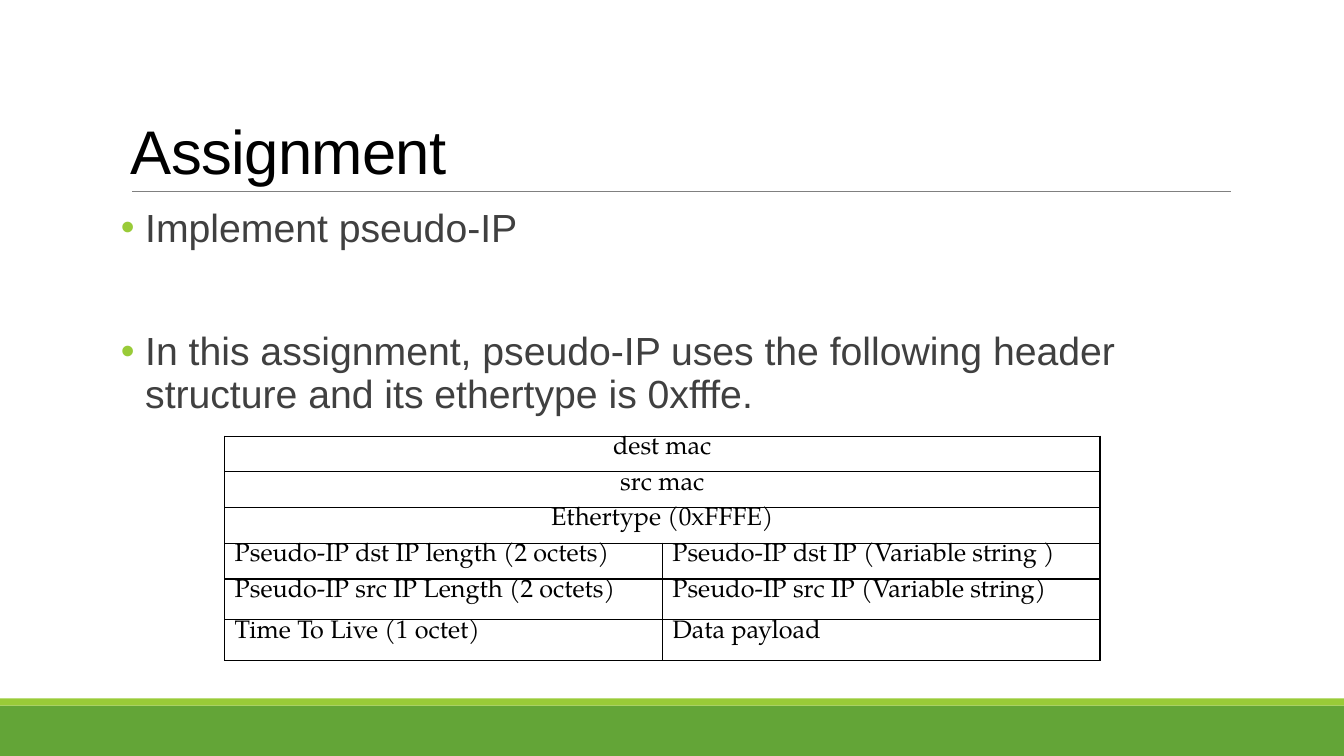
from dataclasses import dataclass

from lxml import etree
from pptx import Presentation
from pptx import util as u
from pptx.dml.color import RGBColor
from pptx.enum import shapes, text
from pptx.oxml import ns


@dataclass(frozen=True)
class Theme:
    green: str = "63A537"
    lime: str = "99CB38"
    rule: str = "808080"
    black: str = "000000"
    body: str = "404040"
    sans: str = "Arial"
    serif: str = "TeX Gyre Pagella"
    title_size: int = 44
    body_size: int = 28
    table_size: int = 18


THEME = Theme()

WIDTH, HEIGHT = 33.87, 19.05
MARGIN = 3.05
CONTENT_WIDTH = 27.94

BULLETS = [
    ("Implement pseudo-IP", 12),
    ("In this assignment, pseudo-IP uses the following header "
     "structure and its ethertype is 0xfffe.", 56),
]

# A row with one entry spans both columns
HEADER_ROWS = [
    (0.9, ["dest mac"]),
    (0.9, ["src mac"]),
    (0.9, ["Ethertype (0xFFFE)"]),
    (0.9, ["Pseudo-IP dst IP length (2 octets)", "Pseudo-IP dst IP (Variable string )"]),
    (1.03, ["Pseudo-IP src IP Length (2 octets)", "Pseudo-IP src IP (Variable string)"]),
    (1.03, ["Time To Live (1 octet)", "Data payload"]),
]


def rgb(color):
    return RGBColor.from_string(color)


def add_xml(parent, tag, **attrs):
    return etree.SubElement(parent, ns.qn(tag), **attrs)


def write(p, content, *, size, font, color, align=None, line=None,
          before=None, after=None, tracking=None):
    """Add one formatted run to a paragraph."""
    r = p.add_run()
    r.text = content
    r.font.size = u.Pt(size)
    r.font.name = font
    r.font.color.rgb = rgb(color)
    if tracking is not None:
        r.font._element.set("spc", str(tracking))
    p.alignment = align
    p.line_spacing = line
    if before is not None:
        p.space_before = u.Pt(before)
    if after is not None:
        p.space_after = u.Pt(after)


def add_band(s, top, height, color):
    sp = s.shapes.add_shape(shapes.MSO_SHAPE.RECTANGLE, 0, u.Cm(top), u.Cm(WIDTH), u.Cm(height))
    sp.shadow.inherit = False
    sp.fill.solid()
    sp.fill.fore_color.rgb = rgb(color)
    sp.line.fill.background()


def add_rule(s, left, right, y):
    line = s.shapes.add_connector(shapes.MSO_CONNECTOR.STRAIGHT,
                                  u.Cm(left), u.Cm(y), u.Cm(right), u.Cm(y))
    line.line.color.rgb = rgb(THEME.rule)
    line.line.width = u.Pt(0.5)
    add_xml(line._element.spPr, "a:effectLst")


def add_text_frame(s, top, height, anchor, side_inset):
    sp = s.shapes.add_textbox(u.Cm(MARGIN), u.Cm(top), u.Cm(CONTENT_WIDTH), u.Cm(height))
    tf = sp.text_frame
    tf.word_wrap = True
    tf.vertical_anchor = anchor
    tf.margin_left = tf.margin_right = u.Cm(side_inset)
    return tf


def add_bullet(p):
    pPr = p._p.get_or_add_pPr()
    indent = u.Cm(0.61)
    pPr.set("marL", str(indent))
    pPr.set("indent", str(-indent))
    add_xml(add_xml(pPr, "a:buClr"), "a:srgbClr", val=THEME.lime)
    add_xml(pPr, "a:buFont", typeface=THEME.sans)
    add_xml(pPr, "a:buChar", char="•")


def add_bullets(s, items):
    tf = add_text_frame(s, 5.13, 11.18, text.MSO_ANCHOR.TOP, 0)
    for i, (content, before) in enumerate(items):
        p = tf.add_paragraph() if i else tf.paragraphs[0]
        write(p, content, size=THEME.body_size, font=THEME.sans, color=THEME.body,
              line=0.9, before=before, after=2)
        add_bullet(p)


def style_cell(cell):
    cell.margin_top = cell.margin_bottom = 0
    tcPr = cell._tc.get_or_add_tcPr()
    for side in ("a:lnL", "a:lnR", "a:lnT", "a:lnB"):
        border = add_xml(tcPr, side, w=str(u.Pt(1)))
        add_xml(add_xml(border, "a:solidFill"), "a:srgbClr", val=THEME.black)
    cell.fill.background()


def add_header_table(s, rows):
    height = sum(h for h, _ in rows)
    table = s.shapes.add_table(len(rows), 2, u.Cm(5.66), u.Cm(10.99),
                               u.Cm(22.06), u.Cm(height)).table
    table.first_row = table.horz_banding = False
    for row, (row_height, entries) in zip(table.rows, rows):
        row.height = u.Cm(row_height)
        for cell in row.cells:
            style_cell(cell)
        spans = len(entries) == 1
        if spans:
            row.cells[0].merge(row.cells[1])
        for cell, content in zip(row.cells, entries):
            write(cell.text_frame.paragraphs[0], content, size=THEME.table_size,
                  font=THEME.serif, color=THEME.black,
                  align=text.PP_ALIGN.CENTER if spans else None)


def main():
    prs = Presentation()
    prs.slide_width, prs.slide_height = u.Cm(WIDTH), u.Cm(HEIGHT)
    s = prs.slides.add_slide(prs.slide_layouts[6])

    # Footer bands and title rule
    add_band(s, 17.78, 1.27, THEME.green)
    add_band(s, 17.6, 0.18, THEME.lime)
    add_rule(s, 3.33, 31.01, 4.83)

    # Title
    tf = add_text_frame(s, 0.79, 4.04, text.MSO_ANCHOR.BOTTOM, 0.25)
    write(tf.paragraphs[0], "Assignment", size=THEME.title_size, font=THEME.sans,
          color=THEME.black, line=0.85, tracking=-50)

    # Body and packet header layout
    add_bullets(s, BULLETS)
    add_header_table(s, HEADER_ROWS)

    prs.save("out.pptx")


if __name__ == "__main__":
    main()
